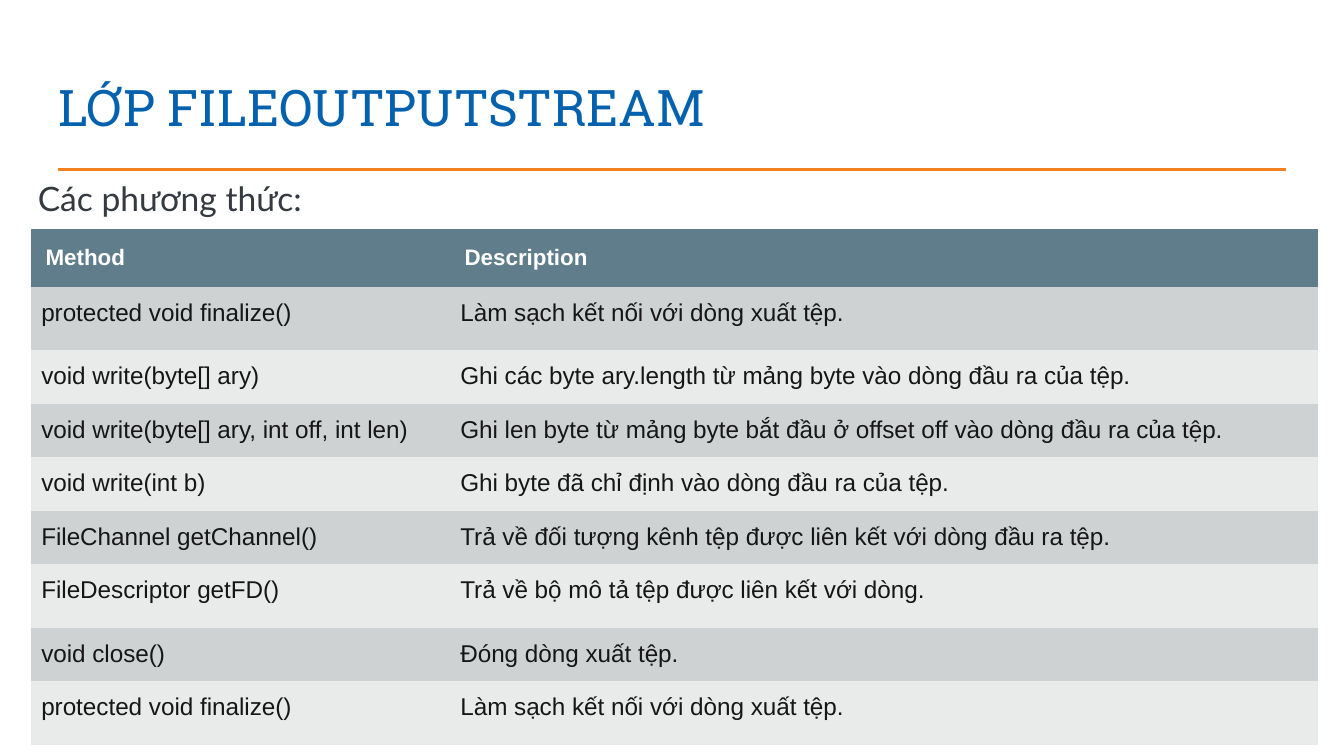
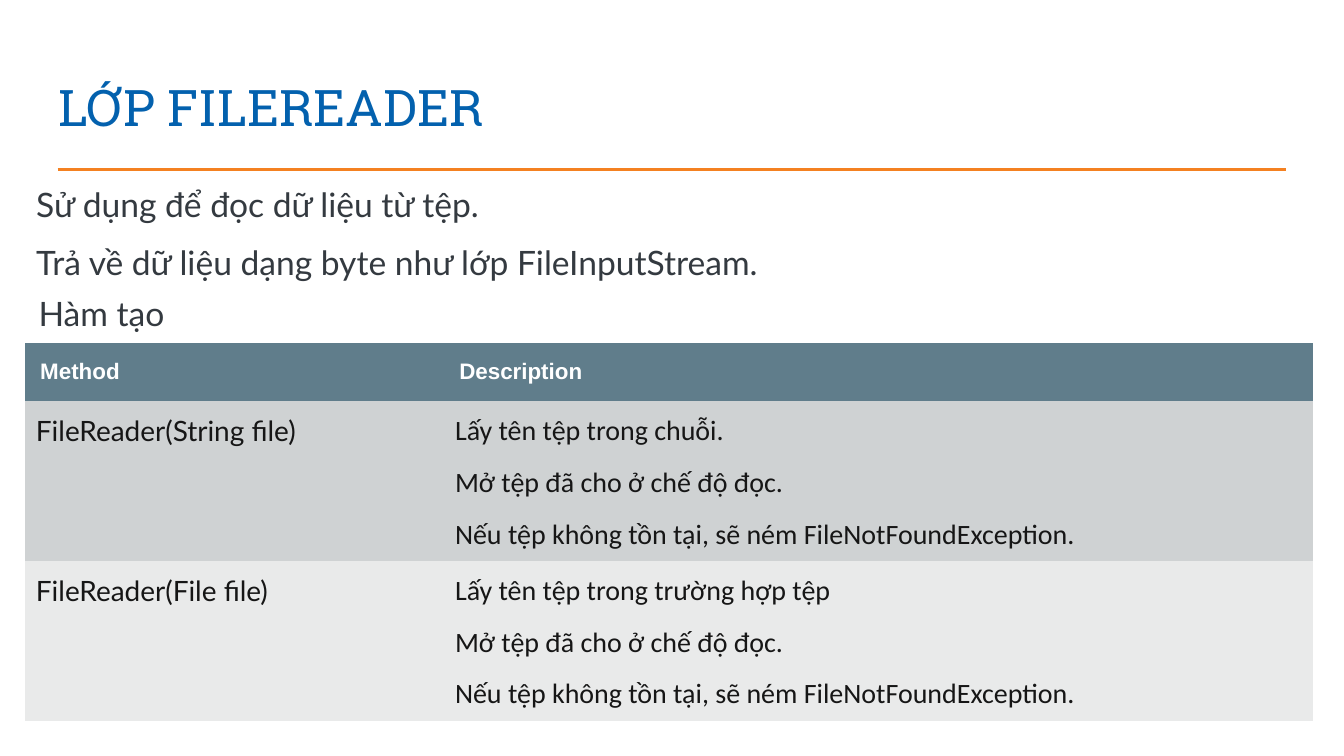
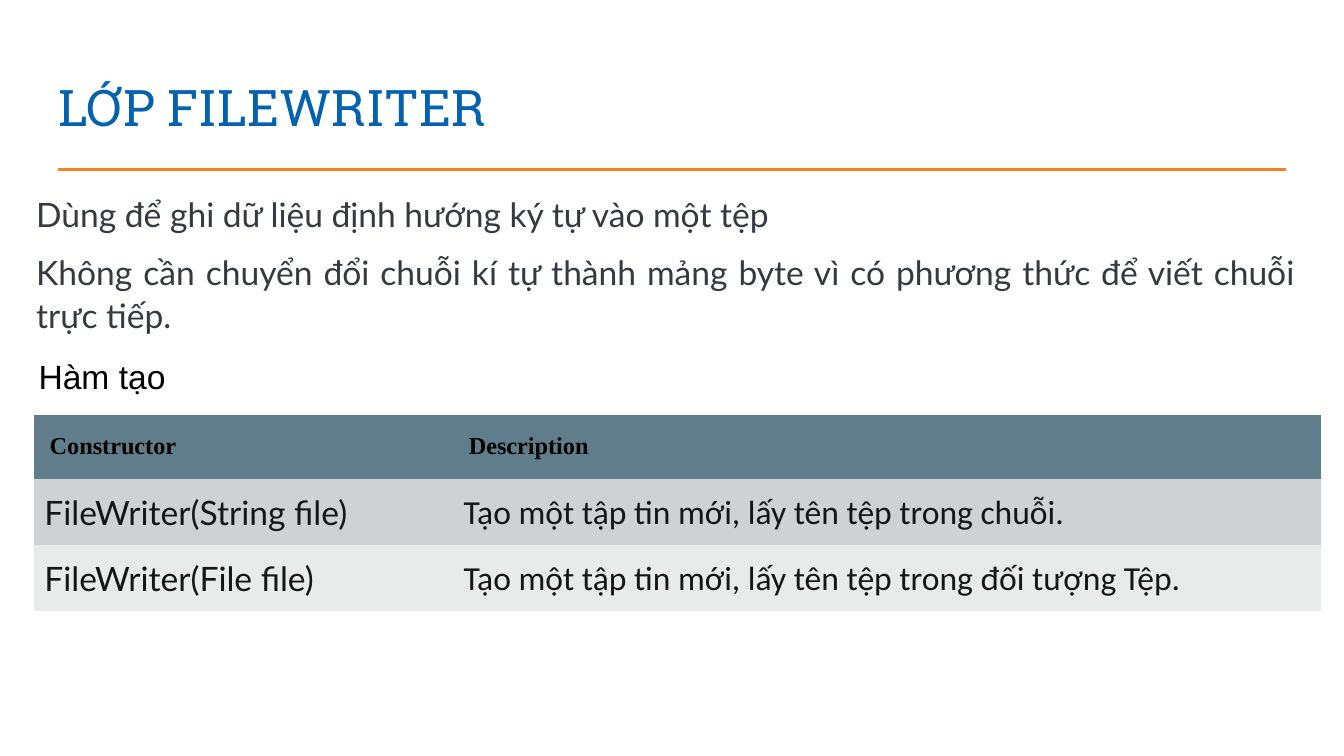
from dataclasses import dataclass
from lxml.etree import SubElement
from pptx import Presentation
from pptx.dml.color import RGBColor
from pptx.enum.shapes import MSO_CONNECTOR
from pptx.enum.text import MSO_ANCHOR, MSO_AUTO_SIZE, PP_ALIGN
from pptx.oxml.ns import qn
from pptx.util import Cm, Pt


@dataclass(frozen=True)
class Theme:
    blue: str = "0361AE"
    rust: str = "F48121"
    gray: str = "343A40"
    ink: str = "161616"
    black: str = "000000"
    white: str = "FFFFFF"
    head: str = "607D8B"
    bands: tuple = ("CFD2D3", "E9EAEA")
    slab: str = "Roboto Slab"
    lato: str = "Lato"
    arial: str = "Arial"
    carl: str = "Calibri"
    times: str = "Times New Roman"
    title: int = 27
    text: int = 18
    mid: int = 15
    small: int = 13
    tiny: int = 12


T = Theme()
LEFT, JUST = PP_ALIGN.LEFT, PP_ALIGN.JUSTIFY


def put(frame, lines, font, size, color, align=LEFT, after=0, bold=False, gap=1.07):
    for i, line in enumerate(lines):
        para = frame.paragraphs[0] if i == 0 else frame.add_paragraph()
        para.alignment = align
        para.line_spacing = gap
        para.space_before = Pt(0)
        para.space_after = Pt(after)
        run = para.add_run()
        run.text = line
        run.font.name = font
        run.font.size = Pt(size)
        run.font.bold = bold
        run.font.color.rgb = RGBColor.from_string(color)


def place(shape, box):
    shape.left, shape.top, shape.width, shape.height = [Cm(n) for n in box]


# Content of the slides
ERROR = ["Mở tệp đã cho ở chế độ đọc.",
         "Nếu tệp không tồn tại, sẽ ném FileNotFoundException."]
CLEAN = ("protected void finalize()", ["Làm sạch kết nối với dòng xuất tệp."])

pages = [
    dict(
        title="LỚP FILEOUTPUTSTREAM",
        body=["Các phương thức:"], box=(0.46, 3.18, 24.23, 1.04),
        label=None,
        at=(0.58, 4.32), high=[1.07, 1.2, 1.01, 1.01, 1.01, 1.01, 1.2, 1.01, 1.2],
        head=("Method", "Description"), style=(T.arial, T.tiny, T.white), inset=0.28,
        fonts=(T.arial, T.arial), size=T.small,
        rows=[
            CLEAN,
            ("void write(byte[] ary)",
             ["Ghi các byte ary.length từ mảng byte vào dòng đầu ra của tệp."]),
            ("void write(byte[] ary, int off, int len)",
             ["Ghi len byte từ mảng byte bắt đầu ở offset off vào dòng đầu ra của tệp."]),
            ("void write(int b)", ["Ghi byte đã chỉ định vào dòng đầu ra của tệp."]),
            ("FileChannel getChannel()",
             ["Trả về đối tượng kênh tệp được liên kết với dòng đầu ra tệp."]),
            ("FileDescriptor getFD()", ["Trả về bộ mô tả tệp được liên kết với dòng."]),
            ("void close()", ["Đóng dòng xuất tệp."]),
            CLEAN,
        ],
    ),
    dict(
        title="LỚP FILEREADER",
        body=["Sử dụng để đọc dữ liệu từ tệp.",
              "Trả về dữ liệu dạng byte như lớp FileInputStream."],
        box=(0.43, 3.3, 17.78, 2.18),
        label=(5.36, T.lato, T.gray, 1.07),
        at=(0.48, 6.48), high=[1.07, 3.02, 3.02],
        head=("Method", "Description"), style=(T.arial, T.tiny, T.white), inset=0.28,
        fonts=(T.lato, T.carl), size=T.mid,
        rows=[
            ("FileReader(String file)", ["Lấy tên tệp trong chuỗi."] + ERROR),
            ("FileReader(File file)", ["Lấy tên tệp trong trường hợp tệp"] + ERROR),
        ],
    ),
    dict(
        title="LỚP FILEWRITER",
        body=["Dùng để ghi dữ liệu định hướng ký tự vào một tệp",
              "Không cần chuyển đổi chuỗi kí tự thành mảng byte vì có phương thức "
              "để viết chuỗi trực tiếp."],
        box=(0.43, 3.48, 24.31, 3.02),
        label=(6.6, T.arial, T.black, 1.0),
        at=(0.64, 7.85), high=[1.21, 1.24, 1.24],
        head=("Constructor", "Description"), style=(T.times, T.small, T.black), inset=0.3,
        fonts=(T.lato, T.carl), size=T.text,
        rows=[
            ("FileWriter(String file)", ["Tạo một tập tin mới, lấy tên tệp trong chuỗi."]),
            ("FileWriter(File file)",
             ["Tạo một tập tin mới, lấy tên tệp trong đối tượng Tệp."]),
        ],
    ),
]

deck = Presentation()
deck.slide_width, deck.slide_height = Cm(25.4), Cm(14.29)
base = deck.slide_layouts[1]

for num, page in enumerate(pages):
    slide = deck.slides.add_slide(base)

    # Rule under the title, kept on the shared layout
    if num == 0:
        rule = slide.shapes.add_connector(
            MSO_CONNECTOR.STRAIGHT, Cm(1.09), Cm(3.2), Cm(24.31), Cm(3.2))
        rule.line.color.rgb = RGBColor.from_string(T.rust)
        rule.line.width = Pt(1.5)
        SubElement(rule._element.spPr, qn("a:effectLst"))
        base.shapes.element.append(rule._element)

    # Title
    title = slide.shapes.title
    place(title, (0.86, 1.24, 23.67, 1.6))
    frame = title.text_frame
    frame.vertical_anchor = MSO_ANCHOR.BOTTOM
    frame.auto_size = MSO_AUTO_SIZE.NONE
    frame.margin_left = frame.margin_right = Cm(0.25)
    frame.margin_top = frame.margin_bottom = Cm(0.25)
    put(frame, [page["title"]], T.slab, T.title, T.blue, gap=1.0)

    # Body text without bullets
    body = slide.placeholders[1]
    place(body, page["box"])
    frame = body.text_frame
    frame.auto_size = MSO_AUTO_SIZE.SHAPE_TO_FIT_TEXT
    put(frame, page["body"], T.lato, T.text, T.gray, JUST, 8)
    for para in frame.paragraphs:
        props = para._p.get_or_add_pPr()
        props.set("marL", "0")
        props.set("indent", "0")
        SubElement(props, qn("a:buNone"))

    # Label above the table
    if page["label"]:
        top, font, color, gap = page["label"]
        label = slide.shapes.add_textbox(Cm(0.48), Cm(top), Cm(2.95), Cm(1.02))
        label.text_frame.word_wrap = False
        label.text_frame.auto_size = MSO_AUTO_SIZE.SHAPE_TO_FIT_TEXT
        put(label.text_frame, ["Hàm tạo"], font, T.text, color, gap=gap)

    # Table
    left, top = page["at"]
    high = page["high"]
    grid = slide.shapes.add_table(
        len(high), 2, Cm(left), Cm(top), Cm(24.33), Cm(sum(high))).table
    grid._tbl.tblPr.find(qn("a:tableStyleId")).text = "{2D5ABB26-0587-4C30-8999-92F81FD0307C}"
    for col, wide in zip(grid.columns, (7.92, 16.41)):
        col.width = Cm(wide)
    for r, tall in enumerate(high):
        grid.rows[r].height = Cm(tall)
        for c in range(2):
            cell = grid.cell(r, c)
            inset = Cm(0.2 if r else page["inset"])
            cell.margin_left = cell.margin_right = inset
            cell.margin_top = cell.margin_bottom = inset
            cell.fill.solid()
            tone = T.bands[(r - 1) % 2] if r else T.head
            cell.fill.fore_color.rgb = RGBColor.from_string(tone)
            frame = cell.text_frame
            if r == 0:
                put(frame, [page["head"][c]], *page["style"], bold=True)
            elif c == 0:
                put(frame, [page["rows"][r - 1][0]], page["fonts"][0], page["size"], T.ink, JUST)
            else:
                put(frame, page["rows"][r - 1][1], page["fonts"][1], page["size"], T.ink, after=8)

deck.save("out.pptx")
